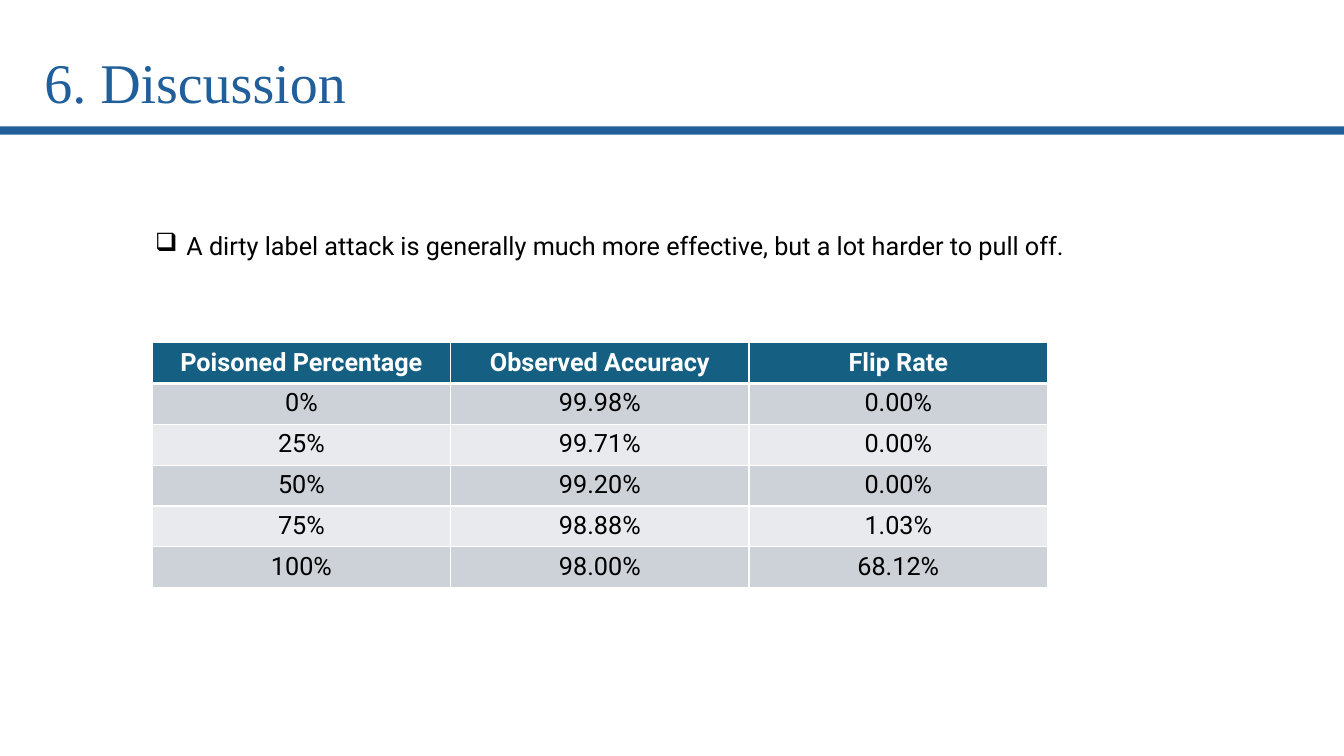
from lxml import etree
from pptx import Presentation
from pptx.dml.color import RGBColor
from pptx.enum import shapes, text
from pptx.oxml import ns
from pptx.util import Inches, Pt

BLUE = RGBColor(0x21, 0x5F, 0x9A)
TEAL = RGBColor(0x15, 0x60, 0x82)
WHITE = RGBColor(0xFF, 0xFF, 0xFF)
BLACK = RGBColor(0, 0, 0)
BANDS = (RGBColor(0xCC, 0xD2, 0xD8), RGBColor(0xE8, 0xEA, 0xED))

RESULTS = [
    ("Poisoned Percentage", "Observed Accuracy", "Flip Rate"),
    ("0%", "99.98%", "0.00%"),
    ("25%", "99.71%", "0.00%"),
    ("50%", "99.20%", "0.00%"),
    ("75%", "98.88%", "1.03%"),
    ("100%", "98.00%", "68.12%"),
]


class SlideBuilder:
    title_font, body_font = "Times New Roman", "Roboto"
    title_size, body_size = Pt(40), Pt(18)

    def __init__(self, slide):
        self.slide = slide

    def run(self, paragraph, wording, font, size, color, bold=False):
        run = paragraph.add_run()
        run.text = wording
        run.font.name, run.font.size, run.font.bold = font, size, bold
        run.font.color.rgb = color

    def title(self, wording, left, top, width, height):
        heading = self.slide.shapes.title
        heading.left, heading.top = Inches(left), Inches(top)
        heading.width, heading.height = Inches(width), Inches(height)
        frame = heading.text_frame
        frame.word_wrap = True
        frame.auto_size = text.MSO_AUTO_SIZE.NONE
        frame.vertical_anchor = text.MSO_ANCHOR.TOP
        paragraph = frame.paragraphs[0]
        paragraph.alignment = text.PP_ALIGN.LEFT
        self.run(paragraph, wording, self.title_font, self.title_size, BLUE)

    def rule(self, left, top, width, height):
        bar = self.slide.shapes.add_shape(
            shapes.MSO_SHAPE.FLOWCHART_ALTERNATE_PROCESS,
            Inches(left), Inches(top), Inches(width), Inches(height))
        bar.shadow.inherit = False
        bar.fill.solid()
        bar.fill.fore_color.rgb = BLUE
        bar.line.color.rgb = WHITE
        bar.line.width = Pt(2)

    def bullet(self, wording, left, top, width, height):
        frame = self.slide.shapes.add_textbox(
            Inches(left), Inches(top), Inches(width), Inches(height)).text_frame
        frame.word_wrap = True
        paragraph = frame.paragraphs[0]
        paragraph.level = 1
        paragraph.line_spacing = 1.5
        self.run(paragraph, wording, self.body_font, self.body_size, BLACK)
        properties = paragraph._p.get_or_add_pPr()
        properties.set("marL", str(Inches(0.81)))
        properties.set("indent", str(Inches(-0.31)))
        etree.SubElement(properties, ns.qn("a:buChar"), char="❑")

    def borders(self, cell, bottom_width):
        properties = cell._tc.get_or_add_tcPr()
        widths = {"lnL": 1, "lnR": 1, "lnT": 1, "lnB": bottom_width}
        for side, width in widths.items():
            line = etree.SubElement(properties, ns.qn(f"a:{side}"), w=str(Pt(width)))
            fill = etree.SubElement(line, ns.qn("a:solidFill"))
            etree.SubElement(fill, ns.qn("a:srgbClr"), val=str(WHITE))

    def table(self, rows, left, top, column_width, row_height):
        columns = len(rows[0])
        grid = self.slide.shapes.add_table(
            len(rows), columns, Inches(left), Inches(top),
            Inches(column_width * columns), Inches(row_height * len(rows))).table
        for r, row in enumerate(rows):
            header = r == 0
            for c, wording in enumerate(row):
                cell = grid.cell(r, c)
                self.borders(cell, 3 if header else 1)
                cell.fill.solid()
                cell.fill.fore_color.rgb = TEAL if header else BANDS[(r - 1) % 2]
                paragraph = cell.text_frame.paragraphs[0]
                paragraph.alignment = text.PP_ALIGN.CENTER
                self.run(paragraph, wording, self.body_font, self.body_size,
                         WHITE if header else BLACK, bold=header)


def main():
    deck = Presentation()
    deck.slide_width, deck.slide_height = Inches(13.33), Inches(7.5)
    discussion = SlideBuilder(deck.slides.add_slide(deck.slide_layouts[5]))
    discussion.rule(-0.11, 1.24, 13.56, 0.11)
    discussion.title("6. Discussion", 0.34, 0.42, 10.06, 0.77)
    discussion.bullet(
        "A dirty label attack is generally much more effective, "
        "but a lot harder to pull off.", 0.94, 2.09, 11.21, 1.31)
    discussion.table(RESULTS, 1.51, 3.4, 2.96, 0.405)
    deck.save("out.pptx")


if __name__ == "__main__":
    main()
